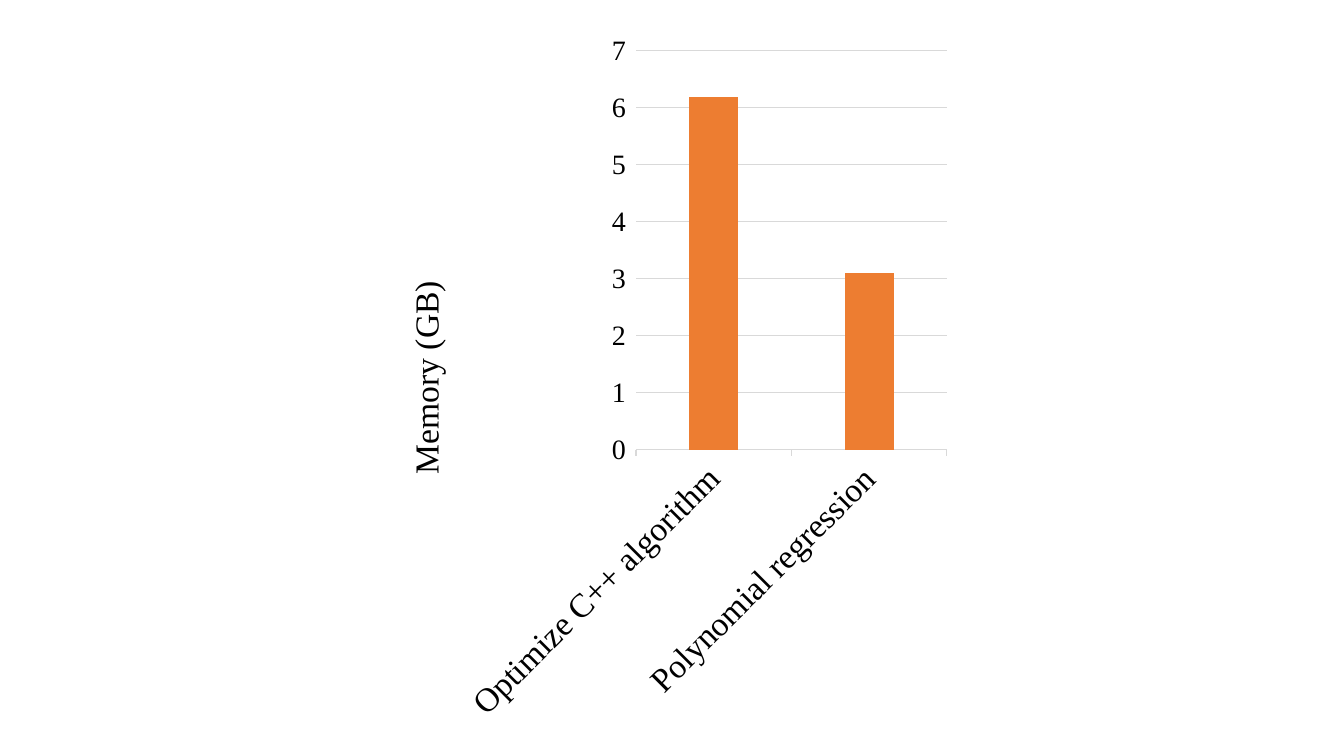
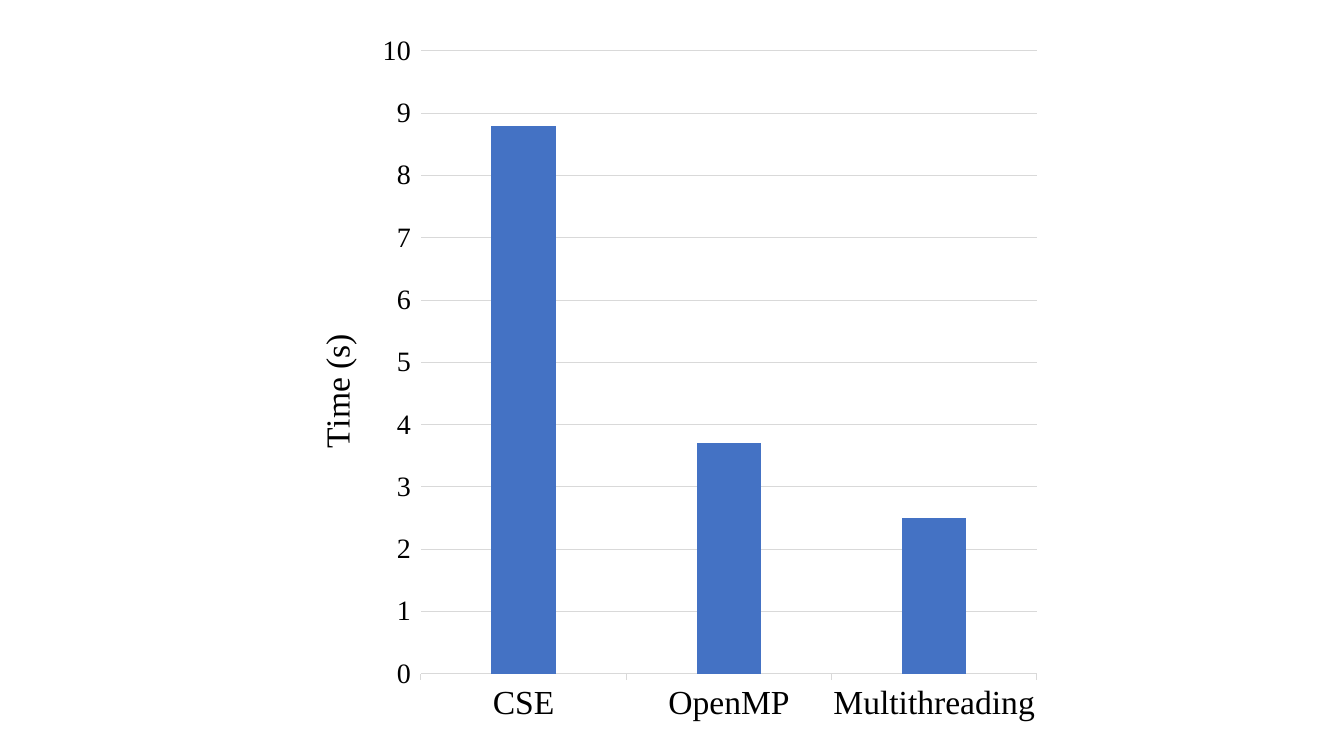
"""Build two slides, each with one column chart of algorithm memory or run time."""
from lxml import etree
from pptx import Presentation
from pptx import util as u
from pptx.chart.data import CategoryChartData
from pptx.dml.color import RGBColor
from pptx.enum import chart as ch

SCALE = 914400 / 100.8
FONT, BLACK, GREY = "Times New Roman", "000000", "D9D9D9"
AUTO_ROTATION = "-60000000"
CHARTS = [
    dict(box=(386, 20, 573, 715), plot=(636, 51, 311, 399), title=(398, 275),
         label="Memory (GB)", top=7, color="ED7D31",
         values={"Optimize C++ algorithm": 6.2, "Polynomial regression": 3.1}),
    dict(box=(291, 20, 761, 716), plot=(421, 51, 616, 623), title=(309, 328),
         label="Time (s)", top=10, color="4472C4",
         values={"CSE": 8.8, "OpenMP": 3.7, "Multithreading": 2.5}),
]


def style(font, size, name=FONT):
    font.name, font.size, font.bold = name, u.Pt(size), False
    font.color.rgb = RGBColor.from_string(BLACK)


def place(element, index, area, box, inner=False):
    for old in element.xpath("c:layout"):
        element.remove(old)
    ns = element.nsmap["c"]
    layout = etree.Element(f"{{{ns}}}layout")
    manual = etree.SubElement(layout, f"{{{ns}}}manualLayout")
    settings = [("layoutTarget", "inner")] if inner else []
    settings += [("xMode", "edge"), ("yMode", "edge")]
    settings += [("x", round((area[0] - box[0]) / box[2], 4)),
                 ("y", round((area[1] - box[1]) / box[3], 4))]
    if inner:
        settings += [("w", round(area[2] / box[2], 4)), ("h", round(area[3] / box[3], 4))]
    for tag, value in settings:
        etree.SubElement(manual, f"{{{ns}}}{tag}").set("val", str(value))
    element.insert(index, layout)


prs = Presentation()
prs.slide_width, prs.slide_height = (u.Emu(round(n * SCALE)) for n in (1344, 756))

for row in CHARTS:
    s = prs.slides.add_slide(prs.slide_layouts[6])
    data = CategoryChartData()
    data.categories = list(row["values"])
    data.add_series("Series 1", list(row["values"].values()))
    box = row["box"]
    chart = s.shapes.add_chart(ch.XL_CHART_TYPE.COLUMN_CLUSTERED,
                               *(u.Emu(round(n * SCALE)) for n in box), data).chart
    chart.has_title = chart.has_legend = False
    style(chart.font, 10, "Calibri")

    plot = chart.plots[0]
    plot.gap_width, plot.overlap, plot.vary_by_categories = 219, -27, False
    fill = plot.series[0].format.fill
    fill.solid()
    fill.fore_color.rgb = RGBColor.from_string(row["color"])

    cat, val = chart.category_axis, chart.value_axis
    for axis, size in ((cat, 24), (val, 20)):
        style(axis.tick_labels.font, size)
        axis.major_tick_mark = ch.XL_TICK_MARK.OUTSIDE
        axis.minor_tick_mark = ch.XL_TICK_MARK.NONE
    cat._element.xpath("c:txPr/a:bodyPr")[0].set("rot", AUTO_ROTATION)
    val.minimum_scale, val.maximum_scale, val.major_unit = 0, row["top"], 1
    val.has_major_gridlines = True
    val.format.line.fill.background()
    for line in (cat.format.line, val.major_gridlines.format.line):
        line.color.rgb = RGBColor.from_string(GREY)
        line.width = u.Pt(0.75)

    tf = val.axis_title.text_frame
    tf.text = row["label"]
    style(tf.paragraphs[0].runs[0].font, 24)
    title = val._element.xpath("c:title")[0]
    body = title.xpath("c:tx/c:rich/a:bodyPr")[0]
    body.set("rot", "-5400000")
    body.set("vert", "horz")
    place(title, 1, row["title"], box)
    place(chart._chartSpace.xpath("c:chart/c:plotArea")[0], 0, row["plot"], box, True)

prs.save("out.pptx")
